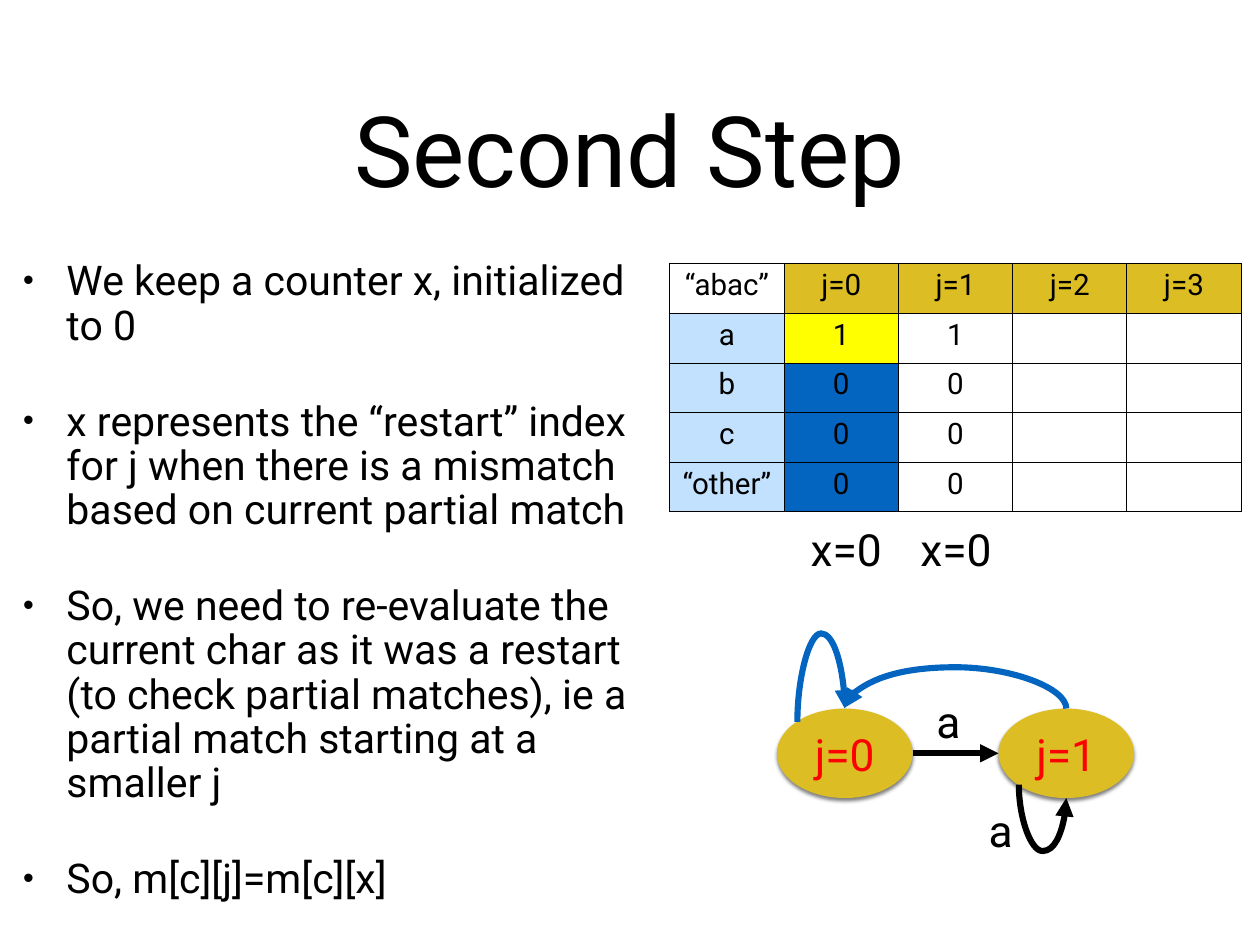
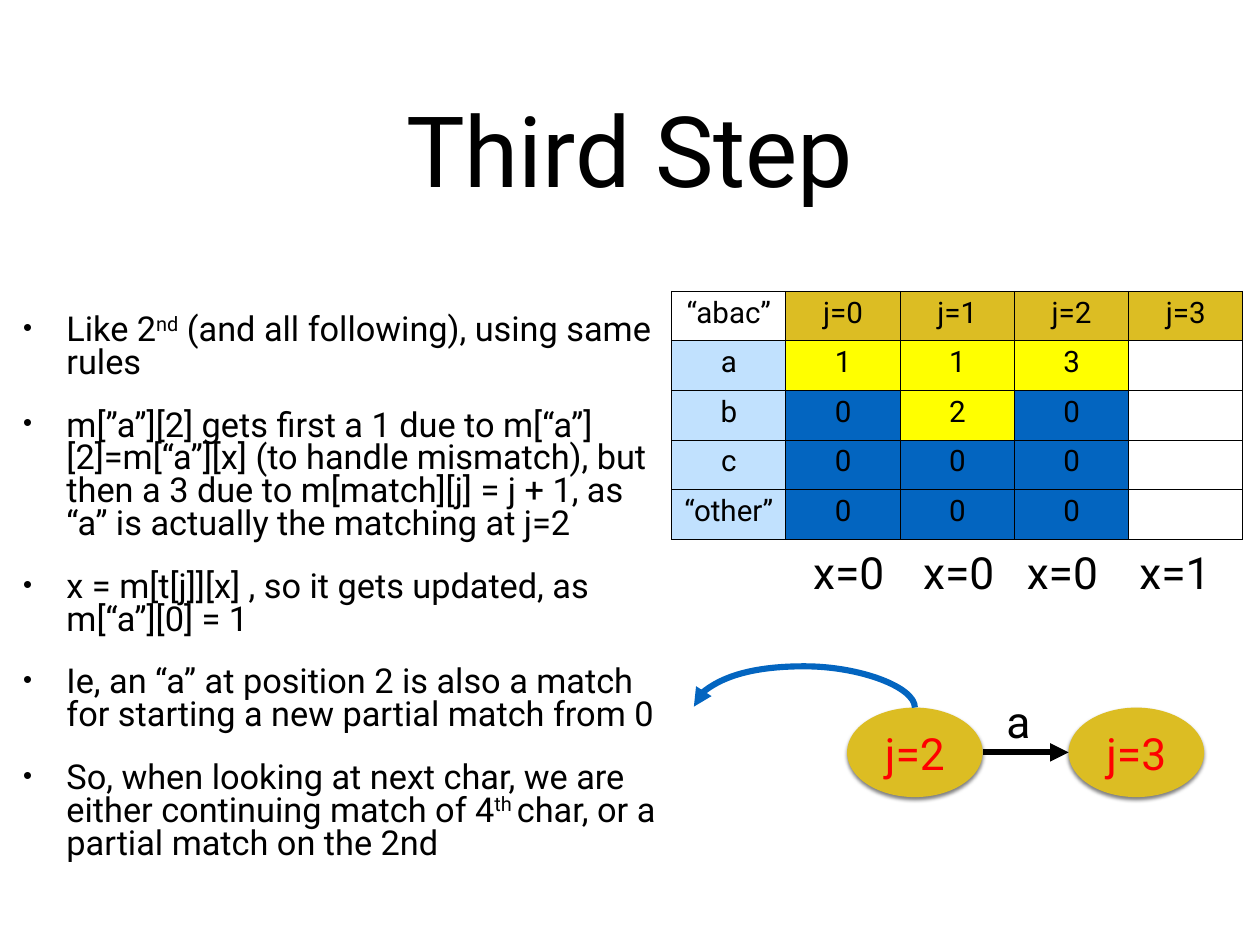
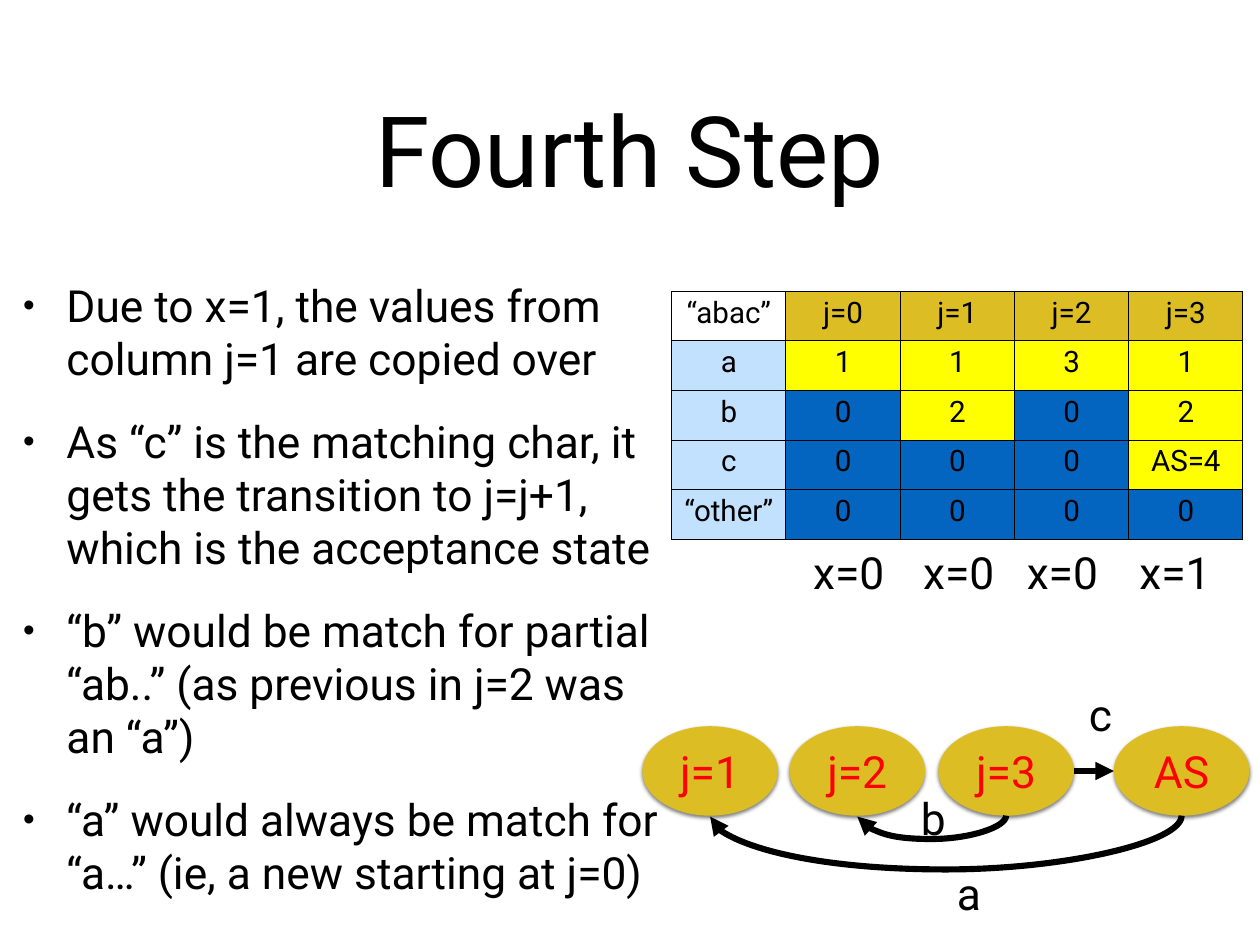
from pptx import Presentation
from pptx.dml.color import RGBColor
from pptx.enum.shapes import MSO_CONNECTOR as Connector, MSO_SHAPE as Preset
from pptx.enum.text import MSO_ANCHOR as Anchor, MSO_AUTO_SIZE as AutoSize, PP_ALIGN as Align
from pptx.oxml import parse_xml
from pptx.oxml.ns import nsdecls
from pptx.util import Inches, Pt

WIDTH, HEIGHT = Inches(14.22), Inches(10.67)
FONT = "Roboto"
BLACK = RGBColor(0x00, 0x00, 0x00)
RED = RGBColor(0xFF, 0x00, 0x00)
GOLD = RGBColor(0xDC, 0xBD, 0x23)
PALE = RGBColor(0xC1, 0xE1, 0xFE)
YELLOW = RGBColor(0xFF, 0xFF, 0x00)
BLUE = RGBColor(0x03, 0x65, 0xC0)

TITLE_AREA = (7.31, 4.59, 85.37, 22.12)
CELL_WIDTH, CELL_HEIGHT = 9.07, 5.25
STATE_WIDTH, STATE_HEIGHT = 10.76, 9.47
LABEL_HEIGHT = 6.75
COUNTER_WIDTH, LETTER_WIDTH = 6.89, 2.74
HEADER = ["“abac”", "j=0", "j=1", "j=2", "j=3"]
SYMBOLS = ["a", "b", "c", "“other”"]

TOP, BOTTOM = (0.5, 0), (0.5, 1)
ABOVE, BELOW = (0.5, -0.01), (0.5, 1.01)
LEFT, RIGHT = (0, 0.5), (1, 0.5)
UPPER_LEFT, LOWER_LEFT = (0.15, 0.15), (0.15, 0.85)


def across(percent):
    return round(WIDTH * percent / 100)


def down(percent):
    return round(HEIGHT * percent / 100)


def area(left, top, width, height):
    return across(left), down(top), across(width), down(height)


def element(xml):
    head, mark, rest = xml.partition(" ")
    return parse_xml(f"{head} {nsdecls('a')} {rest}")


def write(para, text, size=36, color=BLACK, align=None, raised=False):
    span = para.add_run()
    span.text = text
    span.font.name = FONT
    span.font.size = Pt(size)
    span.font.color.rgb = color
    if align is not None:
        para.alignment = align
    if raised:
        span._r.get_or_add_rPr().set("baseline", "30000")


def prepare(frame, wrap=True):
    frame.word_wrap = wrap
    frame.auto_size = AutoSize.NONE
    frame.vertical_anchor = Anchor.MIDDLE
    frame.margin_left = frame.margin_right = Inches(0.06)
    frame.margin_top = frame.margin_bottom = Inches(0.06)


def place(shape, place_area):
    shape.left, shape.top, shape.width, shape.height = area(*place_area)
    prepare(shape.text_frame)


def add_page(deck, title):
    page = deck.slides.add_slide(deck.slide_layouts[1])
    place(page.shapes.title, TITLE_AREA)
    write(page.shapes.title.text_frame.paragraphs[0], title, size=80, align=Align.CENTER)
    return page


def add_bullets(page, items, width, height, size, gap, spacing):
    body = page.placeholders[1]
    place(body, (1.41, 26.71, width, height))
    frame = body.text_frame
    for number, item in enumerate(items):
        para = frame.add_paragraph() if number else frame.paragraphs[0]
        para.space_before = Pt(gap)
        para.line_spacing = spacing
        properties = para._p.get_or_add_pPr()
        properties.set("marL", str(Inches(0.49)))
        properties.set("indent", str(-Inches(0.49)))
        properties.append(element('<a:buSzPct val="75000"/>'))
        properties.append(element('<a:buChar char="•"/>'))
        spans = [item] if isinstance(item, str) else item
        for position, text in enumerate(spans):
            write(para, text, size=size, raised=position % 2 == 1)


def add_borders(cell):
    properties = cell._tc.get_or_add_tcPr()
    for side in ("lnL", "lnR", "lnT", "lnB"):
        properties.append(element(
            f'<a:{side} w="{Pt(1)}"><a:solidFill><a:srgbClr val="{BLACK}"/></a:solidFill></a:{side}>'))


def cell_color(row, column, text, settled):
    if row == 0:
        return GOLD if column else None
    if column == 0:
        return PALE
    if not text or column > settled:
        return None
    return BLUE if text == "0" else YELLOW


def add_transitions(page, left, top, columns, settled):
    filled = columns + [[""] * 4] * (4 - len(columns))
    rows = [HEADER] + [list(row) for row in zip(SYMBOLS, *filled)]
    table = page.shapes.add_table(
        5, 5, *area(left, top, 5 * CELL_WIDTH, 5 * CELL_HEIGHT)).table
    table.first_row = table.horz_banding = False
    for column in table.columns:
        column.width = across(CELL_WIDTH)
    for row, texts in enumerate(rows):
        table.rows[row].height = down(CELL_HEIGHT)
        for column, text in enumerate(texts):
            cell = table.cell(row, column)
            add_borders(cell)
            color = cell_color(row, column, text, settled)
            if color is None:
                cell.fill.background()
            else:
                cell.fill.solid()
                cell.fill.fore_color.rgb = color
            if text:
                write(cell.text_frame.paragraphs[0], text, size=24, align=Align.CENTER)


def add_label(page, text, left, top, width=LETTER_WIDTH):
    box = page.shapes.add_textbox(*area(left, top, width, LABEL_HEIGHT))
    prepare(box.text_frame, wrap=False)
    write(box.text_frame.paragraphs[0], text, align=Align.CENTER)


def add_counters(page, texts, lefts, top):
    for text, left in zip(texts, lefts):
        add_label(page, text, left, top, width=COUNTER_WIDTH)


def add_state(page, text, left, top):
    state = page.shapes.add_shape(Preset.OVAL, *area(left, top, STATE_WIDTH, STATE_HEIGHT))
    state.fill.solid()
    state.fill.fore_color.rgb = GOLD
    state.line.fill.background()
    state.shadow.inherit = False
    state._element.spPr.find("{*}effectLst").append(element(
        f'<a:outerShdw blurRad="{Pt(3)}" dist="{Pt(2)}" dir="5400000" rotWithShape="0">'
        f'<a:srgbClr val="{BLACK}"><a:alpha val="50000"/></a:srgbClr></a:outerShdw>'))
    prepare(state.text_frame)
    write(state.text_frame.paragraphs[0], text, color=RED, align=Align.CENTER)
    return state


def site(state, spot):
    return (state.left + round(state.width * spot[0]),
            state.top + round(state.height * spot[1]))


def finish_arrow(arrow, color):
    arrow.line.color.rgb = color
    arrow.line.width = Pt(5)
    arrow.line._get_or_add_ln().append(element('<a:tailEnd type="triangle"/>'))
    arrow._element.spPr.append(element("<a:effectLst />"))


def add_step(page, source, target):
    arrow = page.shapes.add_connector(
        Connector.STRAIGHT, *site(source, RIGHT), *site(target, LEFT))
    finish_arrow(arrow, BLACK)


def add_arc(page, source, start_spot, target, end_spot, bend, color=BLACK):
    start_x, start_y = site(source, start_spot)
    end_x, end_y = site(target, end_spot)
    run, rise = end_x - start_x, end_y - start_y
    width, height = abs(rise), abs(run)
    left = (start_x + end_x - width) // 2
    top = (start_y + end_y - height) // 2
    arrow = page.shapes.add_connector(
        Connector.CURVE, left, top, left + width, top + height)
    turned = run * rise < 0
    frame = arrow._element.spPr.find("{*}xfrm")
    frame.set("rot", str((90 if turned else 270) * 60000))
    if (rise < 0) == turned:
        frame.set("flipH", "1")
    if (run > 0) == turned:
        frame.set("flipV", "1")
    reach = round(down(bend) / rise * 100000)
    arrow._element.spPr.find("{*}prstGeom").find("{*}avLst").append(
        element(f'<a:gd name="adj1" fmla="val {reach}"/>'))
    finish_arrow(arrow, color)


def add_second_step(deck):
    page = add_page(deck, "Second Step")
    add_bullets(page, [
        "We keep a counter x, initialized to 0",
        "x represents the “restart” index for j when there is a mismatch "
        "based on current partial match",
        "So, we need to re-evaluate the current char as it was a restart "
        "(to check partial matches), ie a partial match starting at a smaller j",
        "So, m[c][j]=m[c][x]",
    ], width=50.84, height=69.63, size=33.3, gap=42, spacing=0.9)
    add_transitions(page, 53.16, 27.93, ["1000", "1000"], settled=1)
    add_counters(page, ["x=0", "x=0"], [63.71, 72.43], 54.73)
    first = add_state(page, "j=0", 61.67, 74.98)
    second = add_state(page, "j=1", 79.25, 74.98)
    add_step(page, first, second)
    add_arc(page, first, UPPER_LEFT, first, TOP, -9.37, color=BLUE)
    add_arc(page, second, LOWER_LEFT, second, BOTTOM, 7.03)
    add_arc(page, second, TOP, first, ABOVE, -4.31, color=BLUE)
    add_label(page, "a", 73.91, 72.91)
    add_label(page, "a", 78.06, 84.44)


def add_late_table(page, columns):
    add_transitions(page, 53.31, 30.83, columns, settled=4)
    add_counters(page, ["x=0", "x=0", "x=0", "x=1"], [63.92, 72.64, 80.87, 89.8], 57.08)


def add_third_step(deck):
    page = add_page(deck, "Third Step")
    add_bullets(page, [
        ["Like 2", "nd", " (and all following), using same rules"],
        "m[”a”][2] gets first a 1 due to m[“a”][2]=m[“a”][x] (to handle mismatch), "
        "but then a 3 due to m[match][j] = j + 1, as “a” is actually the matching at j=2",
        "x = m[t[j]][x] , so it gets updated, as m[“a”][0] = 1",
        "Ie, an “a” at position 2 is also a match for starting a new partial match from 0",
        ["So, when looking at next char, we are either continuing match of 4", "th ",
         "char, or a partial match on the 2nd"],
    ], width=51.69, height=71.13, size=27.9, gap=24, spacing=0.8)
    add_late_table(page, ["1000", "1200", "3000"])
    third = add_state(page, "j=2", 67.23, 74.88)
    fourth = add_state(page, "j=3", 84.81, 74.88)
    add_step(page, third, fourth)
    add_label(page, "a", 79.47, 72.91)
    add_arc(page, third, TOP, third, (-1.13, -0.01), -4.31, color=BLUE)


def add_fourth_step(deck):
    page = add_page(deck, "Fourth Step")
    add_bullets(page, [
        "Due to x=1, the values from column j=1 are copied over",
        "As “c” is the matching char, it gets the transition to j=j+1, "
        "which is the acceptance state",
        "“b” would be match for partial “ab..” (as previous in j=2 was an “a”)",
        "“a” would always be match for “a…” (ie, a new starting at j=0)",
    ], width=51.69, height=71.13, size=36, gap=24, spacing=1.0)
    add_late_table(page, ["1000", "1200", "3000", ["1", "2", "AS=4", "0"]])
    lefts = {"j=1": 50.98, "j=2": 62.66, "j=3": 74.47, "AS": 88.4}
    second, third, fourth, accepting = [
        add_state(page, text, left, 76.85) for text, left in lefts.items()]
    add_step(page, fourth, accepting)
    add_arc(page, fourth, BOTTOM, third, BELOW, 2.44)
    add_arc(page, accepting, BOTTOM, second, BELOW, 5.62)
    add_label(page, "c", 85.97, 72.16)
    add_label(page, "b", 72.71, 83.13)
    add_label(page, "a", 75.53, 91.1)


def main():
    deck = Presentation()
    deck.slide_width, deck.slide_height = WIDTH, HEIGHT
    add_second_step(deck)
    add_third_step(deck)
    add_fourth_step(deck)
    deck.save("out.pptx")


main()
